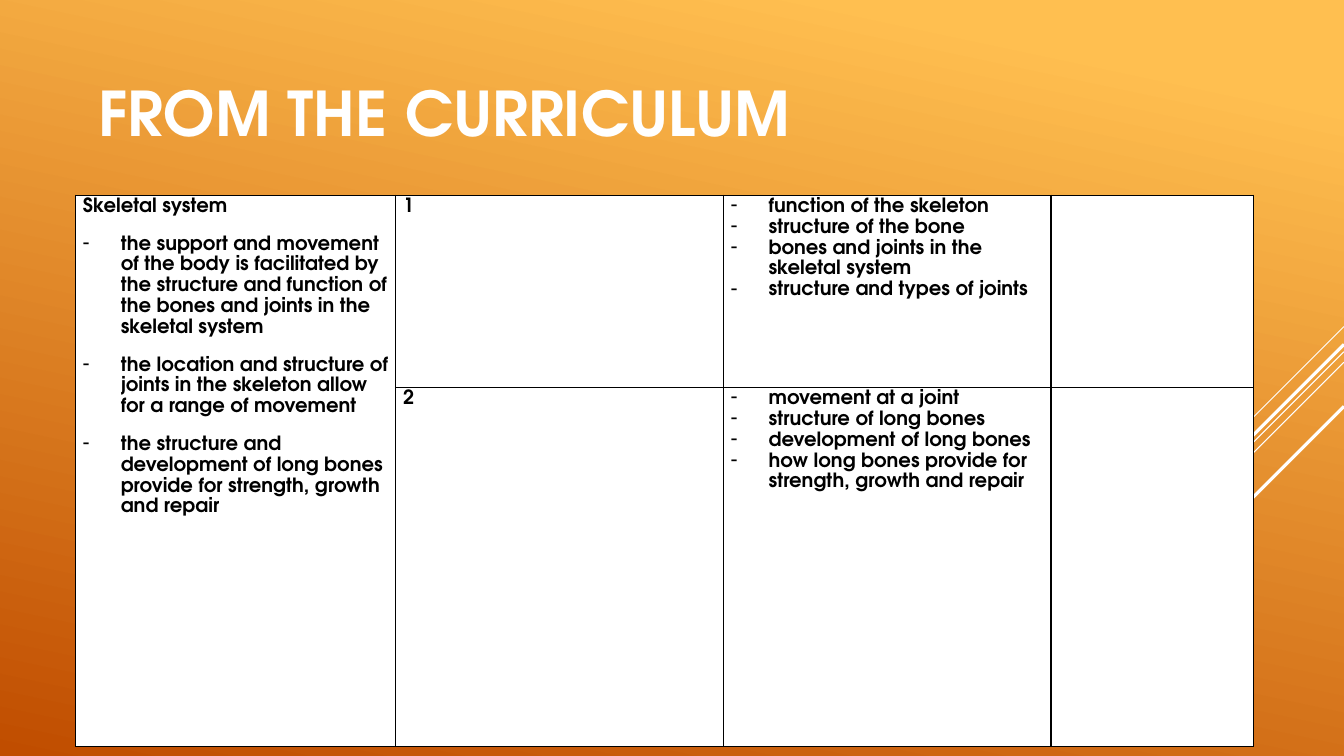
from dataclasses import dataclass

from lxml.etree import SubElement
from pptx import Presentation
from pptx.dml.color import RGBColor
from pptx.enum.shapes import MSO_CONNECTOR
from pptx.enum.text import MSO_ANCHOR, PP_ALIGN
from pptx.oxml.ns import qn
from pptx.slide import Slide
from pptx.table import Table, _Cell
from pptx.text.text import _Paragraph
from pptx.util import Emu, Pt

WHITE = RGBColor(0xFF, 0xFF, 0xFF)
BLACK = RGBColor(0, 0, 0)
AMBER = RGBColor(0xFF, 0xBF, 0x50)
RUST = RGBColor(0xC0, 0x4D, 0x00)

EMU_PER_PX = 9525
SLIDE_WIDTH, SLIDE_HEIGHT = 1280, 720
COLUMN_WIDTHS = (305, 312, 312, 193)
ROW_HEIGHTS = (183, 342)
BULLET_INDENT = 36

TITLE_FONT = {"name": "TeX Gyre Adventor", "size": Pt(44), "bold": True}
BODY_FONT = {"name": "TeX Gyre Adventor", "size": Pt(14), "bold": True}


@dataclass(frozen=True)
class Ray:
    """A 45° line running down and left from the slide's right edge."""
    top: int
    run: int
    weight: float


@dataclass(frozen=True)
class Topic:
    row: int
    column: int
    bullets: tuple[str, ...] = ()
    heading: str = ""
    gap: int = 0


RAYS = (
    Ray(311, 96, 0.75),
    Ray(335, 313, 0.75),
    Ray(345, 199, 0.75),
    Ray(328, 183, 2.25),
    Ray(387, 133, 2.25),
)

TOPICS = (
    Topic(0, 0, (
        "the support and movement of the body is facilitated by the structure "
        "and function of the bones and joints in the skeletal system",
        "the location and structure of joints in the skeleton allow for a range of movement",
        "the structure and development of long bones provide for strength, growth and repair",
    ), heading="Skeletal system", gap=6),
    Topic(0, 1, heading="1"),
    Topic(0, 2, (
        "function of the skeleton",
        "structure of the bone",
        "bones and joints in the skeletal system",
        "structure and types of joints",
    )),
    Topic(1, 1, heading="2"),
    Topic(1, 2, (
        "movement at a joint",
        "structure of long bones",
        "development of long bones",
        "how long bones provide for strength, growth and repair",
    )),
)


def px(length: int) -> Emu:
    return Emu(length * EMU_PER_PX)


def format_font(paragraph: _Paragraph, values: dict, color: RGBColor) -> None:
    for run in paragraph.runs:
        for name, value in values.items():
            setattr(run.font, name, value)
        run.font.color.rgb = color


def paint_background(slide: Slide) -> None:
    fill = slide.background.fill
    fill.gradient()
    fill.gradient_angle = 258
    for stop, position, color in zip(fill.gradient_stops, (0.1, 1), (AMBER, RUST)):
        stop.position = position
        stop.color.rgb = color


def draw_ray(slide: Slide, ray: Ray) -> None:
    line = slide.shapes.add_connector(
        MSO_CONNECTOR.STRAIGHT, px(SLIDE_WIDTH), px(ray.top),
        px(SLIDE_WIDTH - ray.run), px(ray.top + ray.run))
    line.line.color.rgb = WHITE
    line.line.width = Pt(ray.weight)
    SubElement(line._element.spPr, qn("a:effectLst"))


def write_title(slide: Slide, text: str) -> None:
    title = slide.shapes.title
    box = {"left": 84, "top": 28, "width": 896, "height": 158}
    for name, value in box.items():
        setattr(title, name, px(value))
    title.text_frame.text = text
    title.text_frame.vertical_anchor = MSO_ANCHOR.MIDDLE
    paragraph = title.text_frame.paragraphs[0]
    paragraph.alignment = PP_ALIGN.LEFT
    format_font(paragraph, TITLE_FONT, WHITE)


def format_cell(cell: _Cell) -> None:
    """White cell with thin black borders and no vertical padding."""
    properties = cell._tc.get_or_add_tcPr()
    for side in ("lnL", "lnR", "lnT", "lnB"):
        border = SubElement(properties, qn(f"a:{side}"), w=str(Pt(1)))
        solid = SubElement(border, qn("a:solidFill"))
        SubElement(solid, qn("a:srgbClr"), val=str(BLACK))
    cell.fill.solid()
    cell.fill.fore_color.rgb = WHITE
    cell.margin_left = cell.margin_right = px(7)
    cell.margin_top = cell.margin_bottom = 0


def add_dash(paragraph: _Paragraph) -> None:
    properties = paragraph._p.get_or_add_pPr()
    properties.set("marL", str(px(BULLET_INDENT)))
    properties.set("indent", str(px(-BULLET_INDENT)))
    SubElement(properties, qn("a:buChar"), char="-")


def write_topic(table: Table, topic: Topic) -> None:
    frame = table.cell(topic.row, topic.column).text_frame
    lines = ([topic.heading] if topic.heading else []) + list(topic.bullets)
    for index, text in enumerate(lines):
        paragraph = frame.add_paragraph() if index else frame.paragraphs[0]
        paragraph.text = text
        paragraph.line_spacing = 1.15
        if topic.gap:
            paragraph.space_after = Pt(topic.gap)
            if index:
                paragraph.space_before = Pt(topic.gap)
        if text in topic.bullets:
            add_dash(paragraph)
        format_font(paragraph, BODY_FONT, BLACK)


def add_curriculum(slide: Slide) -> None:
    table = slide.shapes.add_table(
        len(ROW_HEIGHTS), len(COLUMN_WIDTHS), px(72), px(186),
        px(sum(COLUMN_WIDTHS)), px(sum(ROW_HEIGHTS))).table
    table.first_row = table.horz_banding = False
    for column, width in zip(table.columns, COLUMN_WIDTHS):
        column.width = px(width)
    for row, height in zip(table.rows, ROW_HEIGHTS):
        row.height = px(height)
    for cell in table.iter_cells():
        format_cell(cell)
    table.cell(0, 0).merge(table.cell(1, 0))
    for topic in TOPICS:
        write_topic(table, topic)


def main() -> None:
    presentation = Presentation()
    presentation.slide_width = px(SLIDE_WIDTH)
    presentation.slide_height = px(SLIDE_HEIGHT)
    slide = presentation.slides.add_slide(presentation.slide_layouts[5])
    paint_background(slide)
    for ray in RAYS:
        draw_ray(slide, ray)
    write_title(slide, "FROM THE CURRICULUM")
    add_curriculum(slide)
    presentation.save("out.pptx")


if __name__ == "__main__":
    main()
